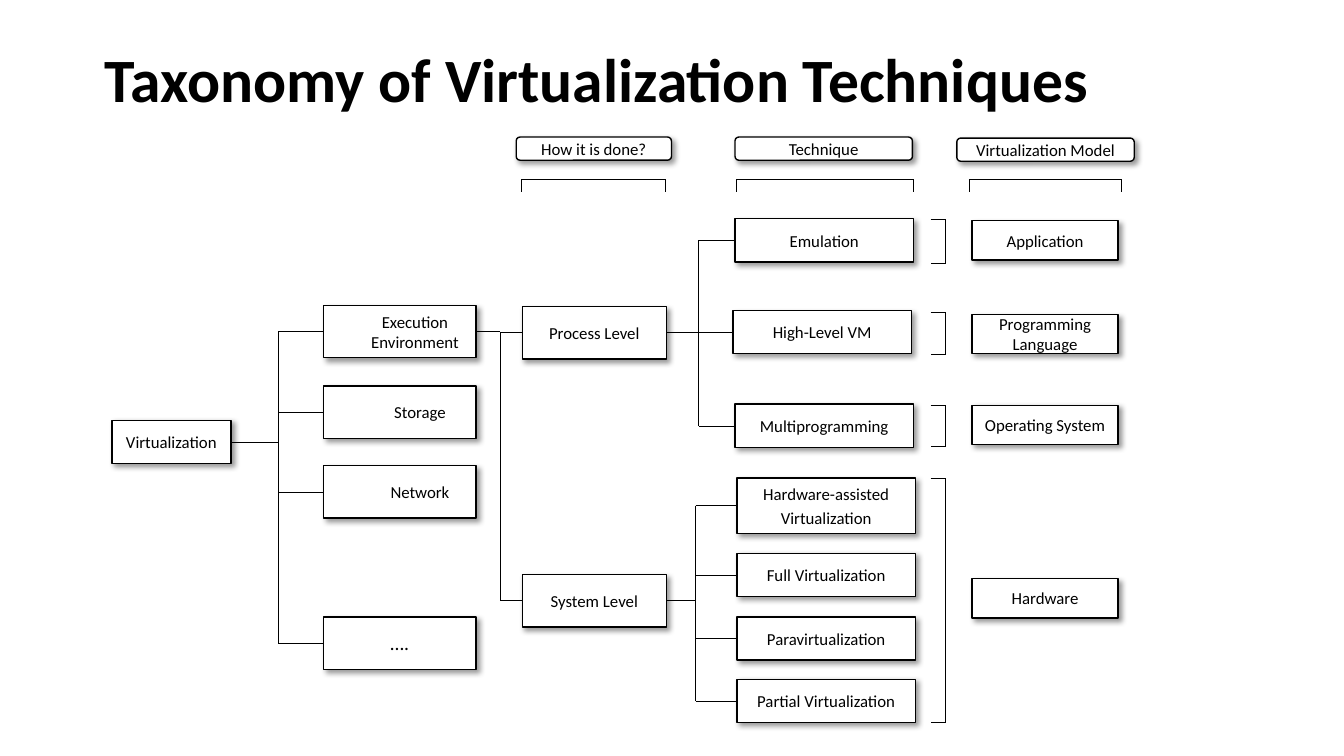
from dataclasses import dataclass

from lxml import etree
from pptx import Presentation
from pptx.dml.color import RGBColor
from pptx.enum import shapes, text
from pptx.oxml import ns
from pptx.util import Emu, Inches, Pt


@dataclass(frozen=True)
class Theme:
    font: str = "Calibri"
    ink: RGBColor = RGBColor(0, 0, 0)
    paper: RGBColor = RGBColor(255, 255, 255)
    title: Pt = Pt(44)
    label: Pt = Pt(12)
    dots: Pt = Pt(14)
    line_gap: Pt = Pt(2.4)
    outline: Pt = Pt(1)
    branch: Pt = Pt(0.5)
    shadow_blur: Pt = Pt(4)
    shadow_distance: Pt = Pt(3)


THEME = Theme()
RECT = shapes.MSO_SHAPE.RECTANGLE
ROUNDED = shapes.MSO_SHAPE.ROUNDED_RECTANGLE
RIGHT_SIDE, LEFT_SIDE = 3, 1


def set_values(target, values):
    for name, value in values.items():
        setattr(target, name, value)


def write(frame, lines, size, bold=False, **paragraph_format):
    set_values(frame, {"word_wrap": True, "vertical_anchor": text.MSO_ANCHOR.MIDDLE})
    for number, line in enumerate(lines):
        paragraph = frame.add_paragraph() if number else frame.paragraphs[0]
        paragraph.text = line
        set_values(paragraph, paragraph_format)
        if number:
            paragraph.space_before = THEME.line_gap
        set_values(paragraph.font, {"name": THEME.font, "size": size, "bold": bold})
        paragraph.font.color.rgb = THEME.ink


def add_title(slide, title):
    box = slide.shapes.add_textbox(Inches(0.94), Inches(0.17), Inches(11.12), Inches(1.29))
    write(box.text_frame, [title], THEME.title, bold=True, line_spacing=0.9)


def add_shadow(shape):
    shape.shadow.inherit = False
    effects = shape._element.spPr.find(ns.qn("a:effectLst"))
    shadow = etree.SubElement(effects, ns.qn("a:outerShdw"), {
        "blurRad": str(int(THEME.shadow_blur)), "dist": str(int(THEME.shadow_distance)),
        "dir": str(45 * 60000), "algn": "tl", "rotWithShape": "0"})
    color = etree.SubElement(shadow, ns.qn("a:srgbClr"), val=str(THEME.ink))
    etree.SubElement(color, ns.qn("a:alpha"), val="40000")


def add_box(slide, label, left, top, width, height, kind=RECT, size=THEME.label, inset=0.1):
    box = slide.shapes.add_shape(kind, Inches(left), Inches(top), Inches(width), Inches(height))
    box.fill.solid()
    box.fill.fore_color.rgb = THEME.paper
    box.line.color.rgb = THEME.ink
    box.line.width = THEME.outline
    add_shadow(box)
    box.text_frame.margin_left = Inches(inset)
    write(box.text_frame, label.split("\n"), size, alignment=text.PP_ALIGN.CENTER)
    return box


def add_line(slide, start, end):
    line = slide.shapes.add_connector(shapes.MSO_CONNECTOR.STRAIGHT, *start, *end)
    line.line.color.rgb = THEME.ink
    line.line.width = THEME.branch
    etree.SubElement(line._element.spPr, ns.qn("a:effectLst"))
    return line


def middle(box):
    return Emu(box.top + box.height // 2)


def add_branch(slide, parent, trunk_x, children):
    """Join a parent to its children through a vertical trunk."""
    trunk = Inches(trunk_x)
    stem = add_line(slide, (parent.left + parent.width, middle(parent)), (trunk, middle(parent)))
    stem.begin_connect(parent, RIGHT_SIDE)
    add_line(slide, (trunk, middle(children[0])), (trunk, middle(children[-1])))
    for child in children:
        twig = add_line(slide, (trunk, middle(child)), (child.left, middle(child)))
        twig.end_connect(child, LEFT_SIDE)


def add_bracket(slide, corners):
    points = [(Inches(x), Inches(y)) for x, y in corners]
    for start, end in zip(points, points[1:]):
        add_line(slide, start, end)


def add_headings(slide):
    headings = [
        ("How it is done?", 5.12, 1.36, 1.54, 5.17, 6.6),
        ("Technique", 7.29, 1.36, 1.76, 7.3, 9.06),
        ("Virtualization Model", 9.49, 1.37, 1.76, 9.61, 11.12),
    ]
    for label, left, top, width, start, end in headings:
        add_box(slide, label, left, top, width, 0.23, ROUNDED)
        add_bracket(slide, [(start, 1.9), (start, 1.78), (end, 1.78), (end, 1.9)])


def add_models(slide):
    models = [
        ("Application", 2.19, 2.18, 2.61),
        ("Programming Language", 3.12, 3.1, 3.52),
        ("Operating System", 4.02, 4.02, 4.43),
        ("Hardware", 5.74, 4.75, 7.17),
    ]
    for label, top, start, end in models:
        add_bracket(slide, [(9.23, start), (9.38, start), (9.38, end), (9.23, end)])
        add_box(slide, label, 9.64, top, 1.45, 0.39)


def add_taxonomy(slide):
    root = add_box(slide, "Virtualization", 1.11, 4.17, 1.18, 0.43)
    areas = [
        add_box(slide, label, 3.21, top, 1.51, 0.52, size=size, inset=inset)
        for label, top, size, inset in [
            ("Execution Environment", 3.03, THEME.label, 0.4),
            ("Storage", 3.83, THEME.label, 0.5),
            ("Network", 4.62, THEME.label, 0.5),
            ("….", 6.12, THEME.dots, 0.1),
        ]
    ]
    levels = [
        add_box(slide, label, 5.18, top, 1.43, 0.52)
        for label, top in [("Process Level", 3.04), ("System Level", 5.7)]
    ]
    process_techniques = [
        add_box(slide, label, left, top, 1.77, 0.43)
        for label, left, top in [
            ("Emulation", 7.29, 2.17),
            ("High-Level VM", 7.27, 3.08),
            ("Multiprogramming", 7.29, 4.01),
        ]
    ]
    system_techniques = [
        add_box(slide, label, 7.31, top, 1.77, height)
        for label, top, height in [
            ("Hardware-assisted\nVirtualization", 4.74, 0.55),
            ("Full Virtualization", 5.49, 0.43),
            ("Paravirtualization", 6.12, 0.43),
            ("Partial Virtualization", 6.74, 0.43),
        ]
    ]
    add_branch(slide, root, 2.76, areas)
    add_branch(slide, areas[0], 4.96, levels)
    add_branch(slide, levels[0], 6.93, process_techniques)
    add_branch(slide, levels[1], 6.9, system_techniques)


def main():
    deck = Presentation()
    set_values(deck, {"slide_width": Inches(13.33), "slide_height": Inches(7.5)})
    slide = deck.slides.add_slide(deck.slide_layouts[6])
    add_title(slide, "Taxonomy of Virtualization Techniques")
    add_headings(slide)
    add_taxonomy(slide)
    add_models(slide)
    deck.save("out.pptx")


if __name__ == "__main__":
    main()
